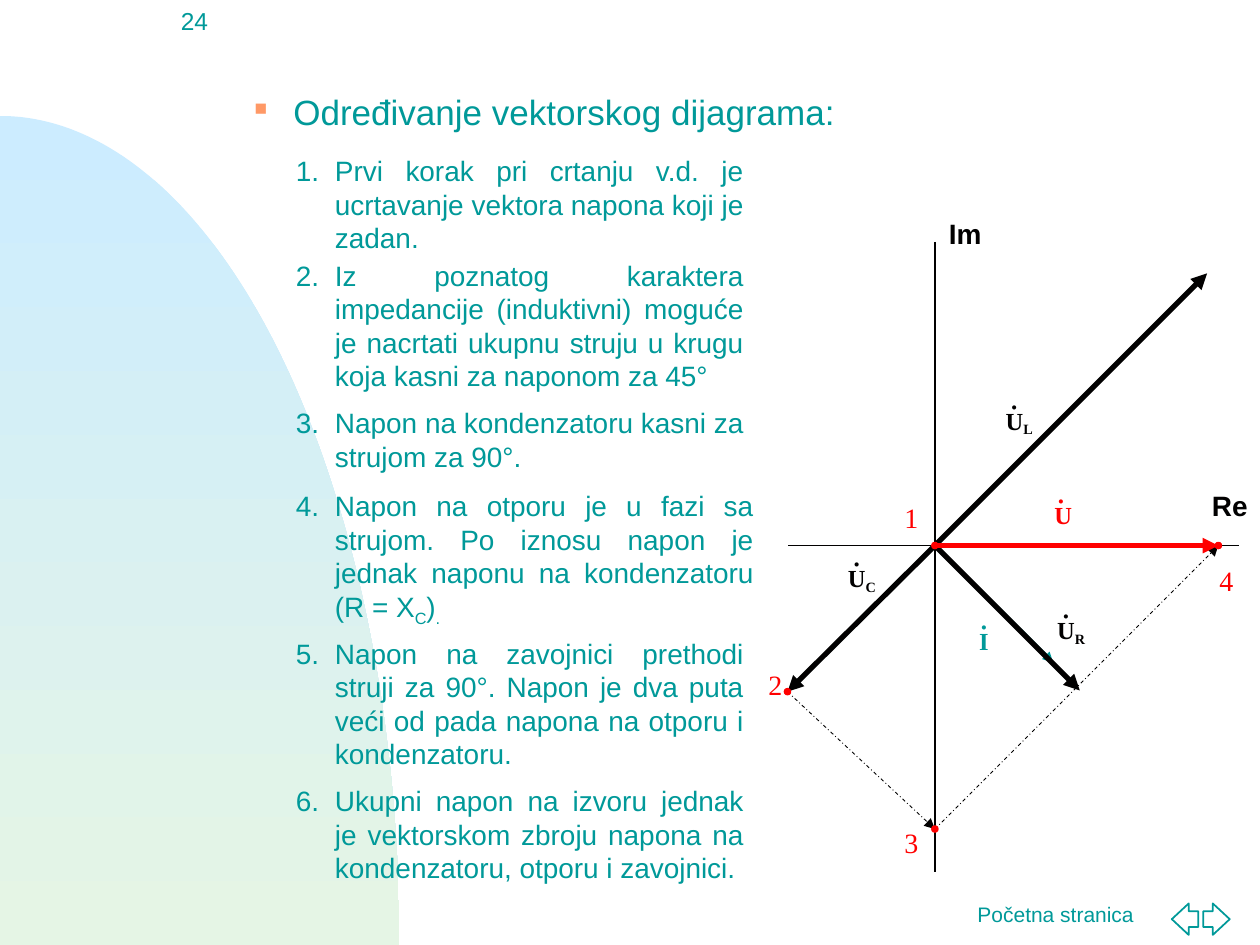
import math
from lxml import etree
from pptx import Presentation
from pptx.dml.color import RGBColor
from pptx.enum.dml import MSO_LINE
from pptx.enum.shapes import MSO_CONNECTOR, MSO_SHAPE
from pptx.enum.text import PP_ALIGN
from pptx.oxml.ns import qn
from pptx.util import Inches, Pt

LEFT, CENTER, RIGHT, JUSTIFY = PP_ALIGN.LEFT, PP_ALIGN.CENTER, PP_ALIGN.RIGHT, PP_ALIGN.JUSTIFY
STRAIGHT, DASH_DOT = MSO_CONNECTOR.STRAIGHT, MSO_LINE.DASH_DOT
OVAL, LEFT_ARROW, RIGHT_ARROW = MSO_SHAPE.OVAL, MSO_SHAPE.LEFT_ARROW, MSO_SHAPE.RIGHT_ARROW

COLORS = {"teal": "009999", "black": "010000", "red": "FF0000", "white": "FFFFFF",
          "orange": "FF9966", "sky": "CCECFF", "mint": "E5F5E5"}
SANS, SERIF = "Arial", "Times New Roman"
HANGING = 0.31


def rgb(name):
    return RGBColor.from_string(COLORS[name])


def add_child(parent, tag, **attributes):
    return etree.SubElement(parent, qn(tag), {key: str(value) for key, value in attributes.items()})


def add_text(slide, box, runs, color="teal", size=16, name=SANS, bold=False,
             align=LEFT, wrap=True, before=0):
    """Add a text box; runs is a list of (text, baseline percent)."""
    shape = slide.shapes.add_textbox(*map(Inches, box))
    shape.text_frame.word_wrap = wrap
    paragraph = shape.text_frame.paragraphs[0]
    for key, value in {"alignment": align, "space_before": Pt(before)}.items():
        setattr(paragraph, key, value)
    for text, baseline in runs:
        run = paragraph.add_run()
        run.text = text
        for key, value in {"size": Pt(size), "name": name, "bold": bold}.items():
            setattr(run.font, key, value)
        run.font.color.rgb = rgb(color)
        if baseline:
            run.font._element.set("baseline", str(baseline * 1000))
    return paragraph


def hang(paragraph):
    properties = paragraph._p.get_or_add_pPr()
    properties.set("marL", str(Inches(HANGING)))
    properties.set("indent", str(-Inches(HANGING)))
    return properties


def add_line(slide, start, end, color="black", width=0.75, arrow=False, dash=None):
    connector = slide.shapes.add_connector(STRAIGHT, *map(Inches, (*start, *end)))
    connector.line.color.rgb = rgb(color)
    connector.line.width = Pt(width)
    if dash:
        connector.line.dash_style = dash
    if arrow:
        add_child(connector.line._get_or_add_ln(), "a:tailEnd", type="triangle")
    add_child(connector._element.spPr, "a:effectLst")


def add_shape(slide, kind, box, fill, outline=None):
    shape = slide.shapes.add_shape(kind, *map(Inches, box))
    shape.shadow.inherit = False
    shape.fill.solid()
    shape.fill.fore_color.rgb = rgb(fill)
    if outline:
        shape.line.color.rgb = rgb(outline)
        shape.line.width = Pt(1)
    else:
        shape.line.fill.background()
    return shape


def add_backdrop(slide, left, top, width, height):
    """Quarter ellipse with a vertical gradient."""
    angles = [math.radians(degree) for degree in range(91)]
    points = [(Inches(left + width * math.sin(angle)),
               Inches(top + height * (1 - math.cos(angle)))) for angle in angles]
    builder = slide.shapes.build_freeform(*points[0])
    builder.add_line_segments(points[1:] + [(Inches(left), Inches(top + height))])
    shape = builder.convert_to_shape()
    shape.shadow.inherit = False
    shape.line.fill.background()
    shape.fill.gradient()
    shape.fill.gradient_angle = 270
    for stop, color, position in zip(shape.fill.gradient_stops, ("sky", "mint"), (0, 1)):
        stop.color.rgb = rgb(color)
        stop.position = position


def add_footer(slide, left, top):
    """Home label and the two navigation arrows."""
    add_text(slide, (left, top, 1.67, 0.46), [("Početna stranica", 0)], size=12, before=3)
    for kind, offset in ((LEFT_ARROW, 1.64), (RIGHT_ARROW, 1.89)):
        arrow = add_shape(slide, kind, (left + offset, top + 0.06, 0.21, 0.25), "white", "teal")
        arrow.adjustments[1] = 0.64


def add_heading(slide, left, top, width):
    paragraph = add_text(slide, (left, top, width, 0.5),
                         [("Određivanje vektorskog dijagrama:", 0)],
                         size=20, align=JUSTIFY, before=5)
    properties = hang(paragraph)
    add_child(add_child(properties, "a:buClr"), "a:srgbClr", val=COLORS["orange"])
    add_child(properties, "a:buSzPct", val=50000)
    add_child(properties, "a:buChar", char="■")


STEPS = [  # top, height, width, runs
    (0, 0.9, 3.75, [("Prvi korak pri crtanju v.d. je ucrtavanje vektora napona koji je zadan.", 0)]),
    (0.83, 1.17, 3.75, [("Iz poznatog karaktera impedancije (induktivni) moguće je nacrtati "
                         "ukupnu struju u krugu koja kasni za naponom za 45°", 0)]),
    (2, 0.64, 3.75, [("Napon na kondenzatoru kasni za strujom za 90°.", 0)]),
    (2.66, 1.21, 3.83, [("Napon na otporu je u fazi sa strujom. Po iznosu napon je jednak "
                         "naponu na kondenzatoru (R = X", 0), ("C", -25), (")", 0), (".", -25)]),
    (3.83, 1.17, 3.75, [("Napon na zavojnici prethodi struji za 90°. Napon je dva puta veći "
                         "od pada napona na otporu i kondenzatoru.", 0)]),
    (5, 0.9, 3.75, [("Ukupni napon na izvoru jednak je vektorskom zbroju napona na "
                     "kondenzatoru, otporu i zavojnici.", 0)]),
]


def add_steps(slide, left, top):
    for number, (offset, height, width, runs) in enumerate(STEPS, 1):
        numbered = [(f"{number}.\t{runs[0][0]}", 0)] + runs[1:]
        paragraph = add_text(slide, (left, top + offset, width, height), numbered, align=JUSTIFY)
        tabs = add_child(hang(paragraph), "a:tabLst")
        add_child(tabs, "a:tab", pos=Inches(HANGING), algn="l")


def add_phasor_label(slide, left, top, letter, subscript, color):
    """Letter with a dot above it."""
    width = 0.42 if subscript else 0.3
    runs = [(letter, 0)] + ([(subscript, -20)] if subscript else [])
    add_text(slide, (left, top, width, 0.36), runs, color, 14, SERIF, True, CENTER, False)
    shift = 0.04 if subscript else 0
    add_text(slide, (left - shift, top - 0.25, width, 0.39), [(".", 0)], color, 20, SERIF,
             align=CENTER)


def add_diagram(slide, left, top):
    """Vector diagram; all offsets are measured from the origin of the axes."""
    def at(x, y):
        return left + x, top + y

    origin, capacitor, total, corner = (0, 0), (-1.17, 1.16), (2.25, 0), (0, 2.25)

    # Axes
    for start, end in (((0, -2.41), (0, 2.59)), ((2.41, 0), (-1.17, 0))):
        add_line(slide, at(*start), at(*end))
    for text, x, y in (("Im", 0, -2.66), ("Re", 2.1, -0.5)):
        add_text(slide, (*at(x, y), 0.48, 0.37), [(text, 0)], "black", bold=True,
                 align=CENTER, wrap=False)

    # Vectors
    for start, end, color, width, dash in (
            (origin, (0.94, 0.93), "teal", 2, None),
            (origin, capacitor, "black", 3, None),
            (capacitor, corner, "black", 0.5, DASH_DOT),
            (origin, (1.15, 1.15), "black", 3, None),
            (origin, (2.16, -2.16), "black", 3, None),
            (corner, total, "black", 0.5, DASH_DOT),
            (origin, total, "red", 3, None)):
        add_line(slide, at(*start), at(*end), color, width, True, dash)

    # Vector names
    for x, y, letter, subscript, color in (
            (0.85, -0.41, "U", "", "red"), (0.87, 0.5, "U", "R", "black"),
            (-0.79, 0.09, "U", "C", "black"), (0.24, 0.59, "I", "", "teal"),
            (0.46, -1.16, "U", "L", "black")):
        add_phasor_label(slide, *at(x, y), letter, subscript, color)

    # Numbered points
    numbers = ((origin, (-0.34, -0.41)), (capacitor, (-1.42, 0.92)),
               (corner, (-0.34, 2.17)), (total, (2.16, 0.09)))
    for number, (point, label) in enumerate(numbers, 1):
        x, y = at(*point)
        add_shape(slide, OVAL, (x - 0.03, y - 0.03, 0.06, 0.06), "red")
        add_text(slide, (*at(*label), 0.33, 0.37), [(str(number), 0)], "red", name=SERIF,
                 before=10)


presentation = Presentation()
presentation.slide_width, presentation.slide_height = Inches(10), Inches(7.5)
slide = presentation.slides.add_slide(presentation.slide_layouts[6])
add_backdrop(slide, 0, 0.92, 3.17, 6.58)
add_footer(slide, 7.66, 7.11)
add_heading(slide, 1.92, 0.67, 7.67)
add_steps(slide, 2.25, 1.17)
add_diagram(slide, 7.42, 4.33)
add_text(slide, (0, 0, 1.75, 0.5), [("24", 0)], size=14, align=RIGHT)
presentation.save("out.pptx")
